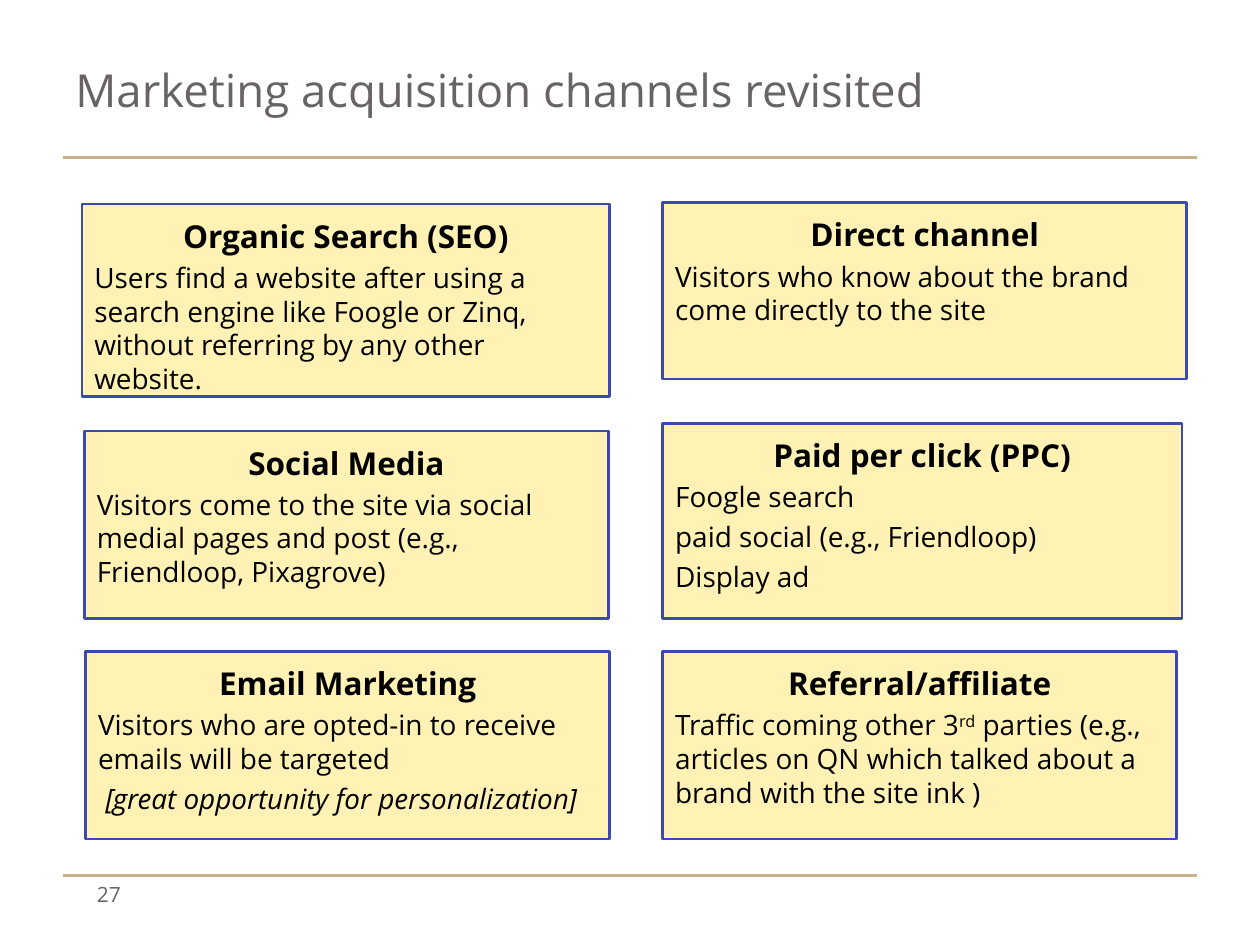
from pptx import Presentation
from pptx.dml.color import RGBColor
from pptx.enum.shapes import MSO_CONNECTOR, MSO_SHAPE
from pptx.enum.text import MSO_ANCHOR, PP_ALIGN
from pptx.oxml.ns import qn
from pptx.util import Inches, Pt
from lxml import etree

COLORS = {"rule": "C8B18B", "card": "FFF2B4", "border": "3D4AAD", "gray": "696464", "black": "000000"}
HEADING = {"size": Pt(18), "bold": True}
BODY = {"size": Pt(16), "bold": False}
ITALIC = {**BODY, "italic": True}
MARGINS = ("margin_left", "margin_top", "margin_right", "margin_bottom")


def color(name):
    return RGBColor.from_string(COLORS[name])


def add_run(paragraph, text, format_values, color_name="black"):
    run = paragraph.add_run()
    run.text = text
    run.font.name = "Open Sans"
    run.font.color.rgb = color(color_name)
    for attribute, value in format_values.items():
        setattr(run.font, attribute, value)
    return run


presentation = Presentation()
presentation.slide_width = Inches(10)
presentation.slide_height = Inches(7.5)
slide = presentation.slides.add_slide(presentation.slide_layouts[6])

for top in (1.25, 6.95):
    rule = slide.shapes.add_connector(
        MSO_CONNECTOR.STRAIGHT, Inches(0.5), Inches(top), Inches(9.5), Inches(top))
    rule.line.color.rgb = color("rule")
    rule.line.width = Pt(2)
    etree.SubElement(rule._element.spPr, qn("a:effectLst"))

labels = [
    ("Marketing acquisition channels revisited", (0.5, 0.17, 9.08, 1.08), 26, MSO_ANCHOR.MIDDLE),
    ("27", (0.67, 6.95, 2.17, 0.4), 12, MSO_ANCHOR.TOP),
]
for text, box, size, anchor in labels:
    label = slide.shapes.add_textbox(*map(Inches, box))
    label.text_frame.word_wrap = True
    label.text_frame.vertical_anchor = anchor
    add_run(label.text_frame.paragraphs[0], text, {"size": Pt(size)}, "gray")

channels = [
    ((0.65, 1.62, 4.19, 1.53), "Organic Search (SEO)", [
        [("Users find a website after using a search engine like Foogle or Zinq, "
          "without referring by any other website.", BODY)]]),
    ((5.26, 1.61, 4.16, 1.4), "Direct channel", [
        [("Visitors who know about the brand come directly to the site", BODY)]]),
    ((0.67, 3.42, 4.16, 1.49), "Social Media", [
        [("Visitors come to the site via social medial pages and post (e.g., "
          "Friendloop, Pixagrove)", BODY)]]),
    ((5.26, 3.36, 4.12, 1.55), "Paid per click (PPC)", [
        [("Foogle search", BODY)],
        [("paid social (e.g., Friendloop)", BODY)],
        [("Display ad", BODY)]]),
    ((0.68, 5.17, 4.16, 1.49), "Email Marketing", [
        [("Visitors who are opted-in to receive emails will be targeted", BODY)],
        [(" ", BODY), ("[great opportunity for personalization]", ITALIC)]]),
    ((5.26, 5.17, 4.08, 1.49), "Referral/affiliate", [
        [("Traffic coming other 3", BODY), ("rd", BODY),
         (" parties (e.g., articles on QN which talked about a brand with the site ink )", BODY)]]),
]
for box, heading, body in channels:
    card = slide.shapes.add_shape(MSO_SHAPE.RECTANGLE, *map(Inches, box))
    card.shadow.inherit = False
    card.fill.solid()
    card.fill.fore_color.rgb = color("card")
    card.line.color.rgb = color("border")
    card.line.width = Pt(1.5)
    frame = card.text_frame
    frame.word_wrap = True
    frame.vertical_anchor = MSO_ANCHOR.TOP
    for margin in MARGINS:
        setattr(frame, margin, Inches(0.1))
    for index, runs in enumerate([[(heading, HEADING)]] + body):
        paragraph = frame.add_paragraph() if index else frame.paragraphs[0]
        paragraph.alignment = PP_ALIGN.LEFT if index else PP_ALIGN.CENTER
        paragraph.space_before = Pt(3.5)
        for text, format_values in runs:
            run = add_run(paragraph, text, format_values)
            if text == "rd":
                run.font._element.set("baseline", "30000")

presentation.save("out.pptx")
